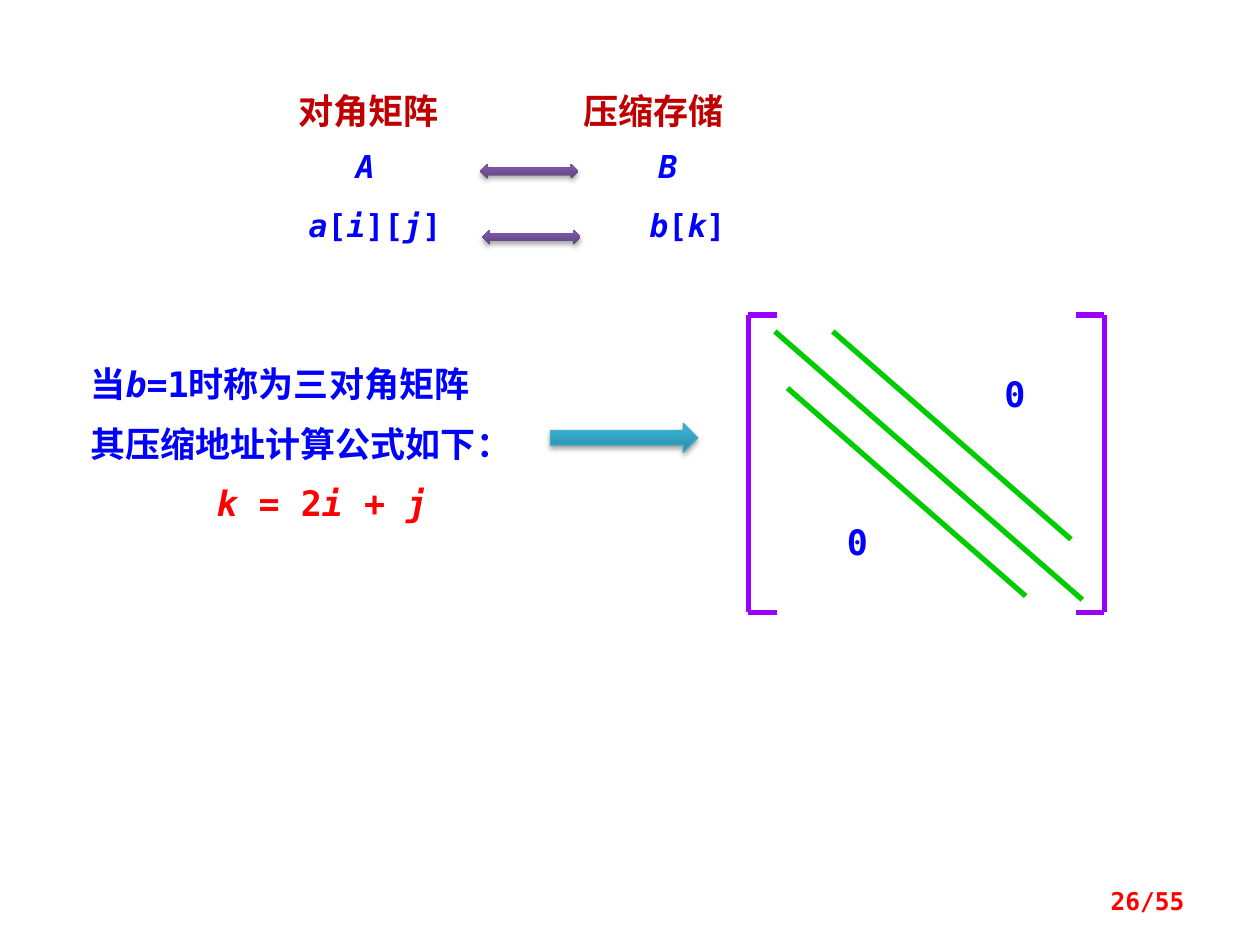
from lxml import etree
from pptx import Presentation
from pptx.dml.color import RGBColor
from pptx.enum import shapes, text
from pptx.oxml.ns import qn
from pptx.util import Pt

COLORS = {
    "blue": "0000FF", "red": "FF0000", "heading": "C00000",
    "bracket": "9900FF", "diagonal": "00CC00",
    "purple_dark": "5F4480", "purple": "7B58A6",
    "teal_dark": "2A88A2", "teal": "37B1D2", "teal_edge": "46AAC5",
}
FONT = "DejaVu Sans Mono"
LEFT, CENTER, RIGHT = (text.PP_ALIGN.LEFT, text.PP_ALIGN.CENTER,
                       text.PP_ALIGN.RIGHT)


def add_text(box, lines, size, color, align=LEFT, gap=0, spacing=1.0, tabs=()):
    """Add a text box; in each line, parts between * marks are italic."""
    frame = slide.shapes.add_textbox(*map(Pt, box)).text_frame
    frame.word_wrap = True
    for index, line in enumerate(lines):
        paragraph = frame.paragraphs[0] if index == 0 else frame.add_paragraph()
        if tabs:
            tab_list = etree.SubElement(paragraph._p.get_or_add_pPr(), qn("a:tabLst"))
            for position in tabs[index]:
                etree.SubElement(tab_list, qn("a:tab"), pos=str(Pt(position)), algn="ctr")
        formats = {"alignment": align, "line_spacing": spacing,
                   "space_before": Pt(gap if index else 0)}
        for name, value in formats.items():
            setattr(paragraph, name, value)
        for part_index, part in enumerate(line.split("*")):
            if part:
                run = paragraph.add_run()
                run.text = part
                formats = {"name": FONT, "size": Pt(size), "bold": True,
                           "italic": part_index % 2 == 1}
                for name, value in formats.items():
                    setattr(run.font, name, value)
                run.font.color.rgb = RGBColor.from_string(COLORS[color])
    return frame


def add_arrow(kind, box, dark, light, edge=None):
    """Add a block arrow with a vertical gradient and a soft shadow."""
    arrow = slide.shapes.add_shape(kind, *map(Pt, box))
    arrow.fill.gradient()
    arrow.fill.gradient_angle = 90
    for stop, color, position in zip(arrow.fill.gradient_stops, (dark, light), (0, 0.8)):
        stop.color.rgb = RGBColor.from_string(COLORS[color])
        stop.position = position
    if edge:
        arrow.line.color.rgb = RGBColor.from_string(COLORS[edge])
        arrow.line.width = Pt(0.75)
    else:
        arrow.line.fill.background()
    arrow.shadow.inherit = False
    effects = arrow._element.spPr.find(qn("a:effectLst"))
    shadow = etree.SubElement(effects, qn("a:outerShdw"), blurRad=str(Pt(3.1)),
                              dist=str(Pt(1.8)), dir="5400000", rotWithShape="0")
    shadow_color = etree.SubElement(shadow, qn("a:srgbClr"), val="000000")
    etree.SubElement(shadow_color, qn("a:alpha"), val="35000")


presentation = Presentation()
presentation.slide_width, presentation.slide_height = Pt(720), Pt(540)
slide = presentation.slides.add_slide(presentation.slide_layouts[6])

# Matrix and storage correspondence
add_text((163.4, 47.5, 106.6, 31.5), ["对角矩阵"], 20, "heading")
add_text((326.2, 47.5, 101.5, 31.5), ["压缩存储"], 20, "heading")
add_text((157.7, 78.5, 278, 66.2),
         ["\t*A*\t*B*", "\t*a*[*i*][*j*]\t*b*[*k*]"], 18, "blue",
         gap=9.5, spacing=1.1, tabs=[(44, 217), (49.5, 228)])
for left, top in ((274.3, 93.6), (275.6, 131.2)):
    add_arrow(shapes.MSO_SHAPE.LEFT_RIGHT_ARROW, (left, top, 56.2, 8.6),
              "purple_dark", "purple")

# Tridiagonal formula
formula = add_text((44.6, 203.8, 317.5, 104.4),
                   ["当*b=*1时称为三对角矩阵", "其压缩地址计算公式如下：",
                    "*k *= 2*i *+ *j*"], 20, "blue", gap=10)
formula_line = formula.paragraphs[-1]
formula_line._p.get_or_add_pPr().set("marL", str(Pt(72)))
for run in formula_line.runs:
    run.font.color.rgb = RGBColor.from_string(COLORS["red"])
add_arrow(shapes.MSO_SHAPE.RIGHT_ARROW, (314.6, 241.9, 84.2, 16.6),
          "teal_dark", "teal", "teal_edge")

# Band matrix: brackets and diagonals
top, bottom = 180, 350
lines = []
for spine, tip in ((427.7, 444.2), (631, 614.9)):
    lines.append(("bracket", spine, top, spine, bottom))
    lines += [("bracket", spine, y, tip, y) for y in (top, bottom)]
lines += [
    ("diagonal", 442.8, 189.4, 618.5, 342.7),
    ("diagonal", 475.9, 189.4, 612, 308.2),
    ("diagonal", 450, 221.8, 586.1, 340.6),
]
for color, *ends in lines:
    line = slide.shapes.add_connector(shapes.MSO_CONNECTOR.STRAIGHT, *map(Pt, ends))
    line.line.color.rgb = RGBColor.from_string(COLORS[color])
    line.line.width = Pt(3)
    etree.SubElement(line._element.spPr, qn("a:effectLst"))
for left, top in ((461.5, 293.8), (551.5, 209.5)):
    add_text((left, top, 56.9, 31), ["0"], 20, "blue", CENTER)

page_number = add_text((516.2, 500.4, 167.8, 28.8), ["26/55"], 14, "red", RIGHT)
page_number.vertical_anchor = text.MSO_ANCHOR.MIDDLE

presentation.save("out.pptx")
